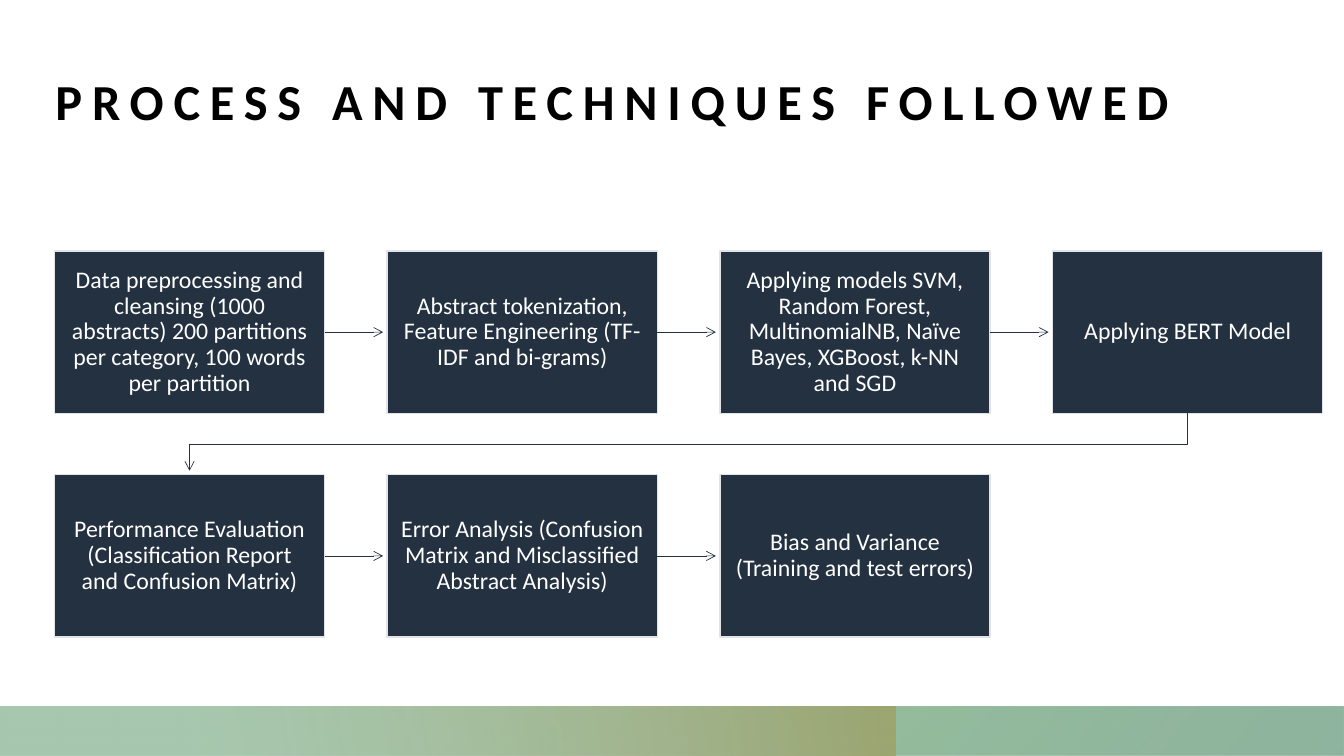
from lxml import etree
from pptx import Presentation
from pptx.dml.color import RGBColor
from pptx.enum.shapes import MSO_CONNECTOR, MSO_SHAPE
from pptx.enum.text import MSO_ANCHOR, MSO_AUTO_SIZE, PP_ALIGN
from pptx.oxml.ns import qn
from pptx.util import Inches, Pt

RECTANGLE = MSO_SHAPE.RECTANGLE
STRAIGHT = MSO_CONNECTOR.STRAIGHT
MIDDLE, BOTTOM = MSO_ANCHOR.MIDDLE, MSO_ANCHOR.BOTTOM
CENTER, LEFT = PP_ALIGN.CENTER, PP_ALIGN.LEFT
NO_AUTOFIT = MSO_AUTO_SIZE.NONE
TITLE_ONLY_LAYOUT = 5
RIGHT_SIDE = 3

STEP_ROWS = [
    [
        "Data preprocessing and cleansing (1000 abstracts) 200 partitions "
        "per category, 100 words per partition",
        "Abstract tokenization, Feature Engineering (TF-IDF and bi-grams)",
        "Applying models SVM, Random Forest, MultinomialNB, Naïve Bayes, "
        "XGBoost, k-NN and SGD",
        "Applying BERT Model",
    ],
    [
        "Performance Evaluation (Classification Report and Confusion Matrix)",
        "Error Analysis (Confusion Matrix and Misclassified Abstract Analysis)",
        "Bias and Variance (Training and test errors)",
    ],
]
GRID_LEFT, GRID_TOP = 0.54, 2.49
STEP_WIDTH, STEP_HEIGHT = 2.68, 1.61
COLUMN_PITCH, ROW_PITCH = 3.3, 2.22
ARROW_LENGTH = 0.58
TIP_GAP = 0.04


def color(hex_string):
    return RGBColor.from_string(hex_string)


class ProcessSlide:
    """Holds the style and the slide being built."""

    font = "Calibri"
    navy, pale, white, black = "243141", "E2E3E8", "FFFFFF", "000000"

    def __init__(self, presentation):
        layout = presentation.slide_layouts[TITLE_ONLY_LAYOUT]
        self.slide = presentation.slides.add_slide(layout)
        self.shapes = self.slide.shapes

    def add_text(self, frame, text, size, hex_string, bold, anchor, align, inset):
        """Fill a text frame with one formatted run and return that run."""
        frame.word_wrap = True
        frame.auto_size = NO_AUTOFIT
        frame.vertical_anchor = anchor
        frame.margin_left = frame.margin_right = Inches(inset)
        frame.margin_top = frame.margin_bottom = Inches(inset)
        paragraph = frame.paragraphs[0]
        paragraph.alignment = align
        paragraph.line_spacing = 0.9
        run = paragraph.add_run()
        run.text = text
        run.font.name = self.font
        run.font.size = Pt(size)
        run.font.bold = bold
        run.font.color.rgb = color(hex_string)
        return run

    def title(self, text):
        title = self.shapes.title
        title.left, title.top = Inches(0.55), Inches(0.33)
        title.width, title.height = Inches(12.23), Inches(0.97)
        run = self.add_text(title.text_frame, text, 36, self.black, True,
                            BOTTOM, LEFT, 0)
        run.font._element.set("spc", "700")

    def rectangle(self, left, top, width, height):
        shape = self.shapes.add_shape(RECTANGLE, Inches(left), Inches(top),
                                      Inches(width), Inches(height))
        shape.shadow.inherit = False
        return shape

    def band(self, width, angle, stops):
        """Add a footer band; each stop is position, colour and opacity in percent."""
        shape = self.rectangle(0, 7.01, width, 0.49)
        shape.line.fill.background()
        shape.fill.gradient()
        shape.fill.gradient_angle = angle
        for stop, (position, hex_string, opacity) in zip(
                shape.fill.gradient_stops, stops):
            stop.position = position / 100
            stop.color.rgb = color(hex_string)
            rgb = stop._gs.find(qn("a:srgbClr"))
            etree.SubElement(rgb, qn("a:alpha")).set("val", str(opacity * 1000))

    def step(self, left, top, text):
        shape = self.rectangle(left, top, STEP_WIDTH, STEP_HEIGHT)
        shape.fill.solid()
        shape.fill.fore_color.rgb = color(self.navy)
        shape.line.color.rgb = color(self.pale)
        shape.line.width = Pt(1)
        self.add_text(shape.text_frame, text, 17, self.white, False,
                      MIDDLE, CENTER, 0.13)
        return shape

    def arrow_line(self, line):
        line.color.rgb = color(self.navy)
        line.width = Pt(0.5)
        etree.SubElement(line._get_or_add_ln(), qn("a:tailEnd")).set("type", "arrow")

    def arrow(self, step):
        """Point from a step's right side towards the next step."""
        start = step.left + step.width
        middle = step.top + step.height // 2
        connector = self.shapes.add_connector(
            STRAIGHT, start, middle, start + Inches(ARROW_LENGTH), middle)
        connector.begin_connect(step, RIGHT_SIDE)
        self.arrow_line(connector.line)
        etree.SubElement(connector._element.spPr, qn("a:effectLst"))

    def return_arrow(self, last, first):
        """Lead from the end of one row down to the start of the next."""
        start_x = last.left + last.width // 2
        end_x = first.left + first.width // 2
        bottom = last.top + last.height
        turn = (bottom + first.top) // 2
        builder = self.shapes.build_freeform(start_x, bottom)
        builder.add_line_segments(
            [(start_x, turn), (end_x, turn), (end_x, first.top - Inches(TIP_GAP))],
            close=False)
        shape = builder.convert_to_shape()
        shape.shadow.inherit = False
        shape.fill.background()
        self.arrow_line(shape.line)


def main():
    presentation = Presentation()
    presentation.slide_width = Inches(13.33)
    presentation.slide_height = Inches(7.5)
    page = ProcessSlide(presentation)
    page.title("PROCESS AND TECHNIQUES FOLLOWED")
    page.band(13.33, 320, [(34, "76AD78", 73), (100, "81AB94", 89)])
    page.band(8.88, 10, [(22, "B3CDBF", 55), (99, "9CA671", 100)])

    rows = [
        [page.step(GRID_LEFT + column * COLUMN_PITCH,
                   GRID_TOP + row * ROW_PITCH, text)
         for column, text in enumerate(texts)]
        for row, texts in enumerate(STEP_ROWS)
    ]
    for steps in rows:
        for step in steps[:-1]:
            page.arrow(step)
    page.return_arrow(rows[0][-1], rows[1][0])
    presentation.save("out.pptx")


if __name__ == "__main__":
    main()
